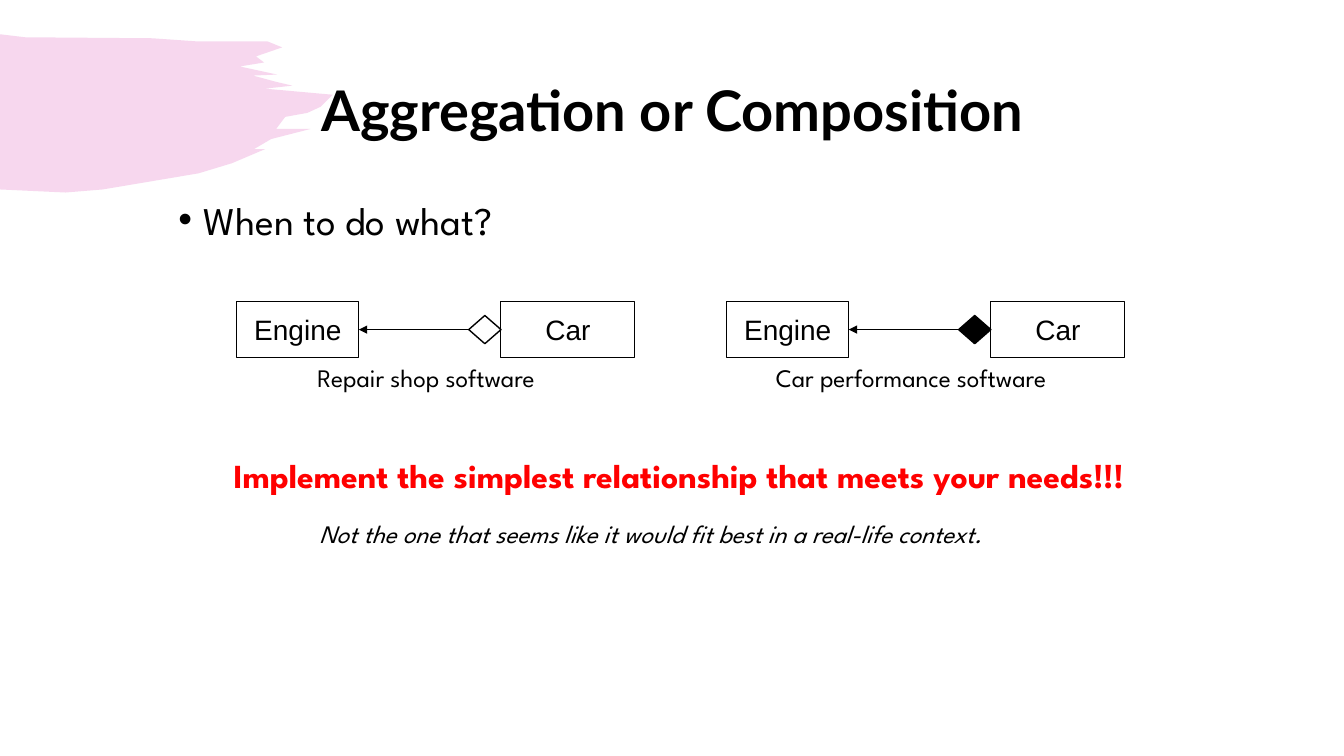
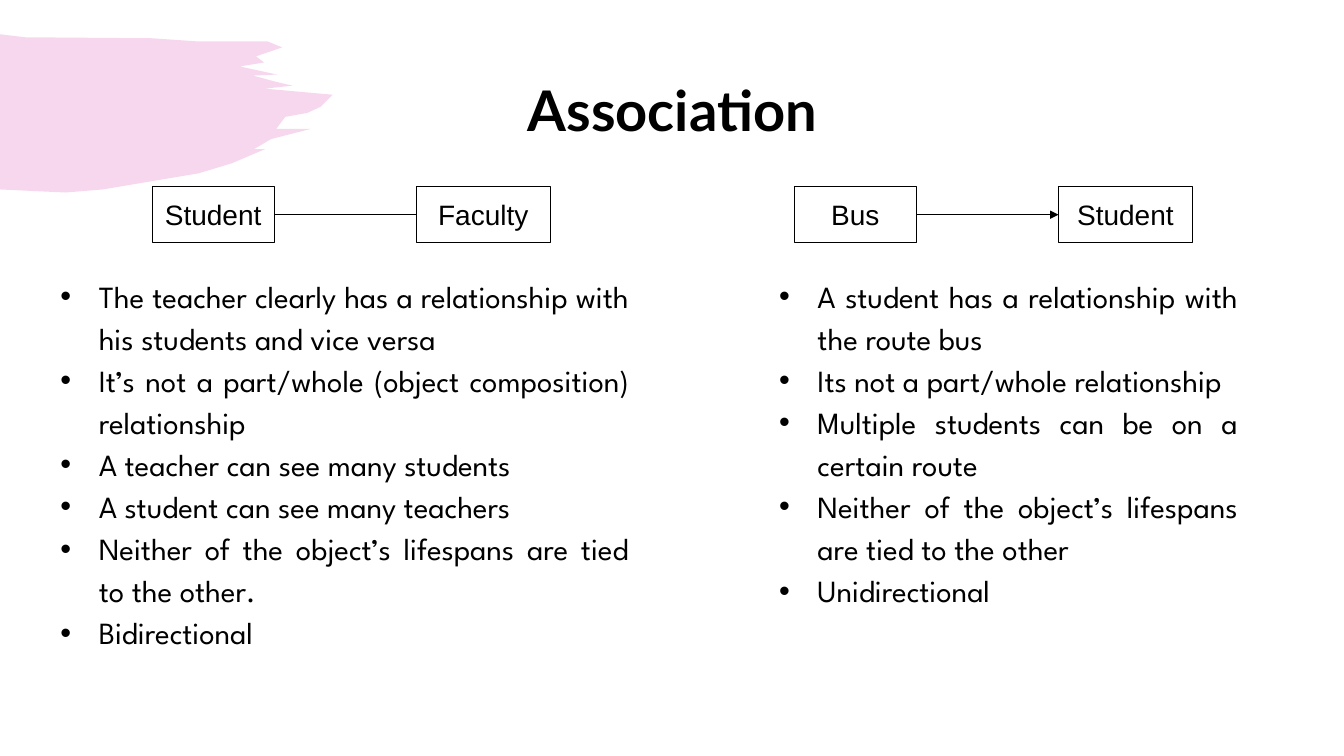
import dataclasses
import typing

import pptx
import pptx.dml.color
import pptx.enum.shapes
import pptx.enum.text
import pptx.oxml
import pptx.oxml.ns
import pptx.util

Align = pptx.enum.text.PP_ALIGN
Shape = pptx.enum.shapes.MSO_SHAPE
qn = pptx.oxml.ns.qn

# Grid: square cells, ten to the inch
CELL = pptx.util.Inches(0.1)
WIDE, HIGH = 133.33, 75

# Shared look
BLACK, WHITE, RED, PINK = "000000", "FFFFFF", "FF0000", "D739AE"
HEAD, BODY, LABEL = "Lato", "League Spartan", "Arial"

# Outline of the brush stroke, in hundredths of an inch
STROKE = [
    (0, 34), (25, 37), (151, 38), (194, 41), (265, 41), (280, 47),
    (254, 56), (262, 62), (238, 66), (275, 74), (251, 75), (273, 81),
    (290, 85), (263, 88), (330, 94), (318, 106), (305, 112), (283, 116),
    (274, 128), (308, 128), (269, 138), (252, 148), (263, 148), (230, 162),
    (197, 172), (102, 188), (65, 191), (0, 188),
]


@dataclasses.dataclass
class Area:
    col: float
    row: float
    cols: float
    rows: float

    def emu(self) -> list[int]:
        return [round(n * CELL) for n in (self.col, self.row, self.cols, self.rows)]


@dataclasses.dataclass
class Style:
    size: float
    font: str = BODY
    colour: str = BLACK
    bold: bool = False
    slant: bool = False
    align: typing.Any = Align.LEFT
    lead: float = 1.0
    before: float = 0
    indent: float = 0


@dataclasses.dataclass
class Pair:
    """Two classes joined by a line; tip names the arrow end, gem fills a diamond."""
    left: str
    right: str
    col: float
    row: float
    tip: str = ""
    gem: str = ""


@dataclasses.dataclass
class Note:
    text: str
    area: Area
    style: Style


TITLE = Style(40, HEAD, bold=True, align=Align.CENTER, lead=0.9)
TAG = Style(20, LABEL, align=Align.CENTER)
POINT = Style(28, lead=1.5, before=10, indent=0.25)
ITEM = Style(22, align=Align.JUSTIFY, lead=1.14, indent=0.38)


def rgb(code: str) -> pptx.dml.color.RGBColor:
    return pptx.dml.color.RGBColor.from_string(code)


def place(shape: typing.Any, area: Area) -> None:
    shape.left, shape.top, shape.width, shape.height = area.emu()


def write(frame: typing.Any, lines: list[str], style: Style, wrap: bool = True) -> None:
    frame.word_wrap = wrap
    frame.auto_size = pptx.enum.text.MSO_AUTO_SIZE.NONE
    for i, line in enumerate(lines):
        para = frame.add_paragraph() if i else frame.paragraphs[0]
        para.alignment, para.line_spacing = style.align, style.lead
        para.space_before = pptx.util.Pt(style.before)
        if style.indent:
            props = para._p.get_or_add_pPr()
            deep = pptx.util.Inches(style.indent)
            props.set("marL", str(deep))
            props.set("indent", str(-deep))
        run = para.add_run()
        run.text = line
        font = run.font
        font.name, font.size = style.font, pptx.util.Pt(style.size)
        font.bold, font.italic = style.bold, style.slant
        font.color.rgb = rgb(style.colour)


def brush(deck: typing.Any, slide: typing.Any) -> None:
    """Draw the stroke and move it to the back of the master."""
    pen = slide.shapes.build_freeform(*STROKE[0], scale=CELL / 10)
    pen.add_line_segments(STROKE[1:])
    stroke = pen.convert_to_shape()
    stroke.shadow.inherit = False
    stroke.line.fill.background()
    stroke.fill.solid()
    stroke.fill.fore_color.rgb = rgb(PINK)
    tint = stroke.element.spPr.find(".//" + qn("a:srgbClr"))
    tint.append(pptx.oxml.parse_xml(f'<a:alpha {pptx.oxml.ns.nsdecls("a")} val="20000"/>'))
    deck.slide_master.shapes.element.insert(2, stroke.element)


def block(slide: typing.Any, kind: typing.Any, area: Area, fill: str = "",
          width: float = 0.75) -> typing.Any:
    shape = slide.shapes.add_shape(kind, *area.emu())
    shape.shadow.inherit = False
    if fill:
        shape.fill.solid()
        shape.fill.fore_color.rgb = rgb(fill)
    else:
        shape.fill.background()
    shape.line.color.rgb = rgb(BLACK)
    shape.line.width = pptx.util.Pt(width)
    return shape


def join(slide: typing.Any, first: typing.Any, second: typing.Any, tip: str) -> None:
    line = slide.shapes.add_connector(pptx.enum.shapes.MSO_CONNECTOR.STRAIGHT, 0, 0, 0, 0)
    line.begin_connect(first, 3)
    line.end_connect(second, 1)
    line.line.color.rgb = rgb(BLACK)
    line.line.width = pptx.util.Pt(0.75)
    props = line.element.spPr
    if tip:
        mark = pptx.oxml.parse_xml(f'<a:{tip} {pptx.oxml.ns.nsdecls("a")} type="triangle"/>')
        props.find(qn("a:ln")).append(mark)
    props.append(pptx.oxml.parse_xml(f'<a:effectLst {pptx.oxml.ns.nsdecls("a")}/>'))


def draw(slide: typing.Any, pair: Pair) -> None:
    tall, start = 5.6, pair.col + 26.2
    boxes = []
    for text, col, cols in ((pair.left, pair.col, 12.1), (pair.right, start, 13.3)):
        box = block(slide, Shape.RECTANGLE, Area(col, pair.row, cols, tall))
        box.text_frame.vertical_anchor = pptx.enum.text.MSO_ANCHOR.MIDDLE
        write(box.text_frame, [text], TAG, wrap=False)
        boxes.append(box)
    goal = boxes[1]
    if pair.gem:
        wide, high = 3.2, 2.8
        spot = Area(start - wide, pair.row + (tall - high) / 2, wide, high)
        goal = block(slide, Shape.DIAMOND, spot, pair.gem, 1)
    join(slide, boxes[0], goal, pair.tip)


def page(deck: typing.Any, layout: int, title: str,
         lists: list[tuple[Area, list[str]]], style: Style, pairs: list[Pair]) -> typing.Any:
    slide = deck.slides.add_slide(deck.slide_layouts[layout])
    place(slide.shapes.title, Area(9.2, 4, 115, 14.5))
    write(slide.shapes.title.text_frame, [title], TITLE)
    for i, (area, lines) in enumerate(lists, 1):
        body = slide.placeholders[i]
        place(body, area)
        write(body.text_frame, lines, style)
    for pair in pairs:
        draw(slide, pair)
    return slide


def main() -> None:
    deck = pptx.Presentation()
    deck.slide_width, deck.slide_height = round(WIDE * CELL), HIGH * CELL

    # Aggregation or composition
    slide = page(
        deck, 1, "Aggregation or Composition",
        [(Area(16.7, 16.6, 100, 9.2), ["When to do what?"])], POINT,
        [Pair("Engine", "Car", 23.5, 29.9, "headEnd", WHITE),
         Pair("Engine", "Car", 72.1, 29.9, "headEnd", BLACK)])
    brush(deck, slide)
    notes = [
        Note("Repair shop software", Area(30.5, 35.5, 27.7, 4), Style(18)),
        Note("Car performance software", Area(76, 35.5, 34.7, 4), Style(18)),
        Note("Implement the simplest relationship that meets your needs!!!",
             Area(22.2, 42.6, 99.6, 6.3), Style(24, colour=RED, bold=True, lead=1.5)),
        Note("Not the one that seems like it would fit best in a real-life context.",
             Area(30.7, 49.4, 80, 8.6), Style(18, slant=True, lead=1.5)),
    ]
    for note in notes:
        box = slide.shapes.add_textbox(*note.area.emu())
        write(box.text_frame, [note.text], note.style)

    # Association
    page(
        deck, 3, "Association",
        [(Area(5, 26.5, 58.4, 44.2), [
            "The teacher clearly has a relationship with his students and vice versa",
            "It’s not a part/whole (object composition) relationship",
            "A teacher can see many students",
            "A student can see many teachers",
            "Neither of the object’s lifespans are tied to the other.",
            "Bidirectional"]),
         (Area(76.3, 26.5, 47.5, 45), [
             "A student has a relationship with the route bus",
             "Its not a part/whole relationship",
             "Multiple students can be on a certain route",
             "Neither of the object’s lifespans are tied to the other",
             "Unidirectional"])], ITEM,
        [Pair("Student", "Faculty", 15.1, 18.5),
         Pair("Bus", "Student", 78.8, 18.5, "tailEnd")])

    deck.save("out.pptx")


if __name__ == "__main__":
    main()
